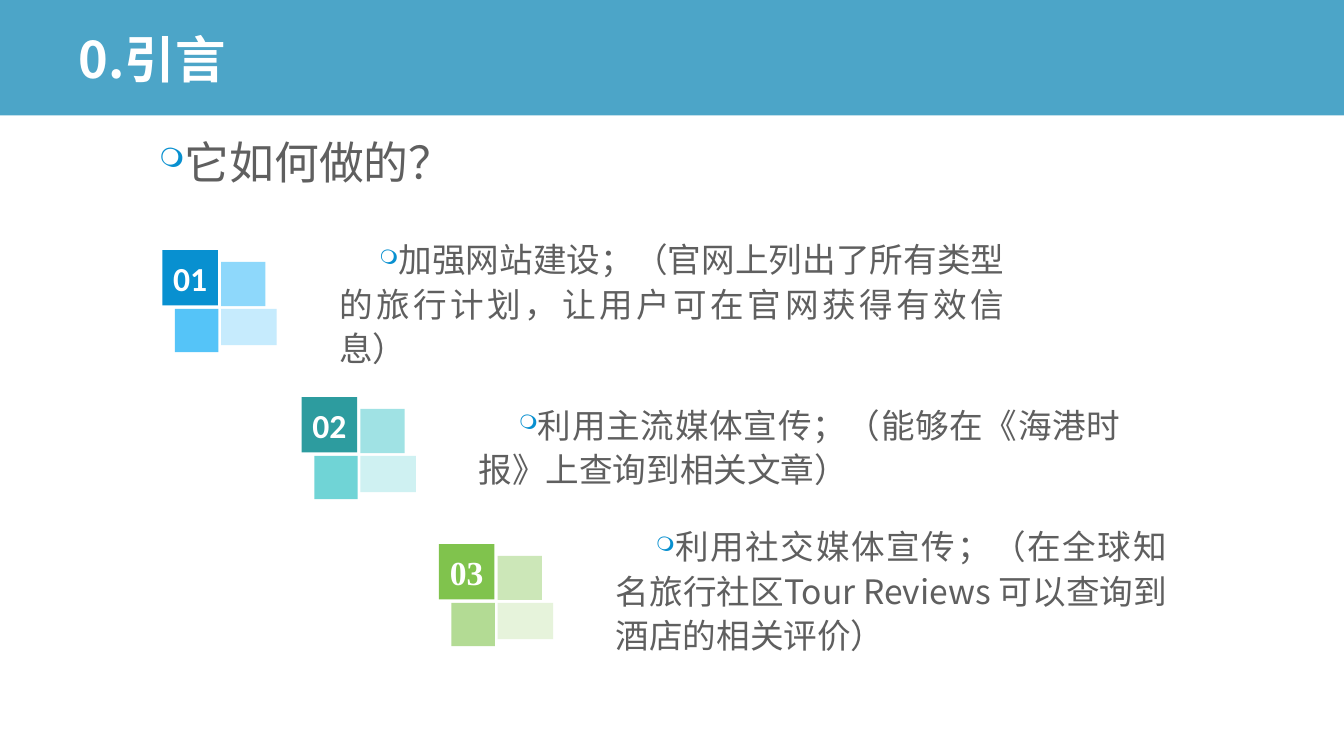
from lxml import etree
from pptx import Presentation
from pptx.dml.color import RGBColor
from pptx.enum.shapes import MSO_SHAPE
from pptx.enum.text import MSO_ANCHOR, PP_ALIGN
from pptx.oxml.ns import qn
from pptx.util import Pt

RECTANGLE = MSO_SHAPE.RECTANGLE
TOP, MIDDLE = MSO_ANCHOR.TOP, MSO_ANCHOR.MIDDLE
LEFT, CENTER, JUSTIFY = PP_ALIGN.LEFT, PP_ALIGN.CENTER, PP_ALIGN.JUSTIFY

SLIDE_WIDTH, SLIDE_HEIGHT = 960, 540
CHINESE_FONT = "Noto Sans CJK SC"
BLUE, GREY, WHITE = "0890D0", "5F5F5F", "FFFFFF"
INDENT = 28.8

# Left, top, width and height of the tiles within a cluster
TILES = [(0, 0, 39.6, 39.6), (42, 8.4, 31.6, 31.6),
         (9, 42, 31, 31), (42, 42, 39.6, 26)]
STEP_TOP, STEP_PITCH = 178.6, 105
STEPS = [
    dict(left=116, text_drop=5, text_width=504, number="01", font="Calibri",
         colors=[BLUE, "8ED8FB", "55C4F8", "C6EBFD"],
         text="加强网站建设；（官网上列出了所有类型的旅行计划，让用户可在官网获得有效信息）"),
    dict(left=215.5, text_drop=2.2, text_width=487.5, number="02", font="Calibri",
         colors=["2D9C9F", "A0E2E4", "70D4D6", "CFF1F2"],
         text="利用主流媒体宣传；（能够在《海港时报》上查询到相关文章）"),
    dict(left=313.5, text_drop=0, text_width=422.5, number="03", font="Times New Roman",
         colors=["80C34D", "CCE7B8", "B3DB94", "E6F3DB"],
         text="利用社交媒体宣传；（在全球知名旅行社区Tour Reviews 可以查询到酒店的相关评价）"),
]


def rgb(color):
    return RGBColor.from_string(color)


def add_bullet(para):
    """Give the paragraph a ring bullet and a further indented first line."""
    properties = para._p.get_or_add_pPr()
    properties.set("marL", str(Pt(INDENT)))
    properties.set("indent", str(Pt(INDENT)))
    color = etree.SubElement(properties, qn("a:buClr"))
    etree.SubElement(color, qn("a:srgbClr"), val=BLUE)
    etree.SubElement(properties, qn("a:buSzPct"), val="60000")
    etree.SubElement(properties, qn("a:buChar"), char="❍")


def write(shape, text, size, color=GREY, font=CHINESE_FONT, bold=False, align=LEFT,
          anchor=MIDDLE, margins=(0, 0), spacing=1.0, bullet=False, wrap=True):
    frame = shape.text_frame
    frame.word_wrap = wrap
    frame.vertical_anchor = anchor
    frame.margin_left = frame.margin_right = Pt(margins[0])
    frame.margin_top = frame.margin_bottom = Pt(margins[1])
    para = frame.paragraphs[0]
    para.alignment = align
    para.line_spacing = spacing
    if bullet:
        add_bullet(para)
    span = para.add_run()
    span.text = text
    span.font.size = Pt(size)
    span.font.bold = bold
    span.font.color.rgb = rgb(color)
    span.font.name = font
    etree.SubElement(span._r.get_or_add_rPr(), qn("a:ea"), typeface=font)


def add_text(page, box, text, **style):
    write(page.shapes.add_textbox(*map(Pt, box)), text, **style)


def add_rectangle(page, box, color, opacity=100):
    shape = page.shapes.add_shape(RECTANGLE, *map(Pt, box))
    shape.shadow.inherit = False
    shape.fill.solid()
    shape.fill.fore_color.rgb = rgb(color)
    shape.line.fill.background()
    if opacity < 100:
        fill_color = shape._element.spPr.find(qn("a:solidFill"))[0]
        etree.SubElement(fill_color, qn("a:alpha"), val=str(opacity * 1000))
    return shape


def add_header(page, box, title):
    left, top, width, height = box
    add_rectangle(page, box, "0080B2", opacity=70)
    add_text(page, (left + 49.5, top + 15, width - 98, 62.6), title, size=36,
             color=WHITE, bold=True, margins=(7.2, 3.6), spacing=0.9)


def add_question(page, box, text):
    add_text(page, box, text, size=32, align=JUSTIFY, anchor=TOP,
             margins=(7.2, 3.6), spacing=1.1, bullet=True)


def add_step(page, left, top, text_drop, text_width, number, font, colors, text):
    """Draw a numbered cluster of tiles with its explanation to the right."""
    tiles = [add_rectangle(page, (left + x, top + y, width, height), color)
             for (x, y, width, height), color in zip(TILES, colors)]
    write(tiles[0], number, size=24, color=WHITE, font=font, bold=True,
          align=CENTER, wrap=False)
    add_text(page, (left + 97.5, top + text_drop, text_width, 64), text, size=24,
             align=JUSTIFY, spacing=1.1, bullet=True)


def main():
    deck = Presentation()
    deck.slide_width, deck.slide_height = Pt(SLIDE_WIDTH), Pt(SLIDE_HEIGHT)
    page = deck.slides.add_slide(deck.slide_layouts[6])
    add_header(page, (-0.5, -1.5, SLIDE_WIDTH + 1, 84), "0.引言")
    add_question(page, (49, 88.5, 862.5, 57), "它如何做的？")
    for index, step in enumerate(STEPS):
        add_step(page, top=STEP_TOP + index * STEP_PITCH, **step)
    deck.save("out.pptx")


if __name__ == "__main__":
    main()
